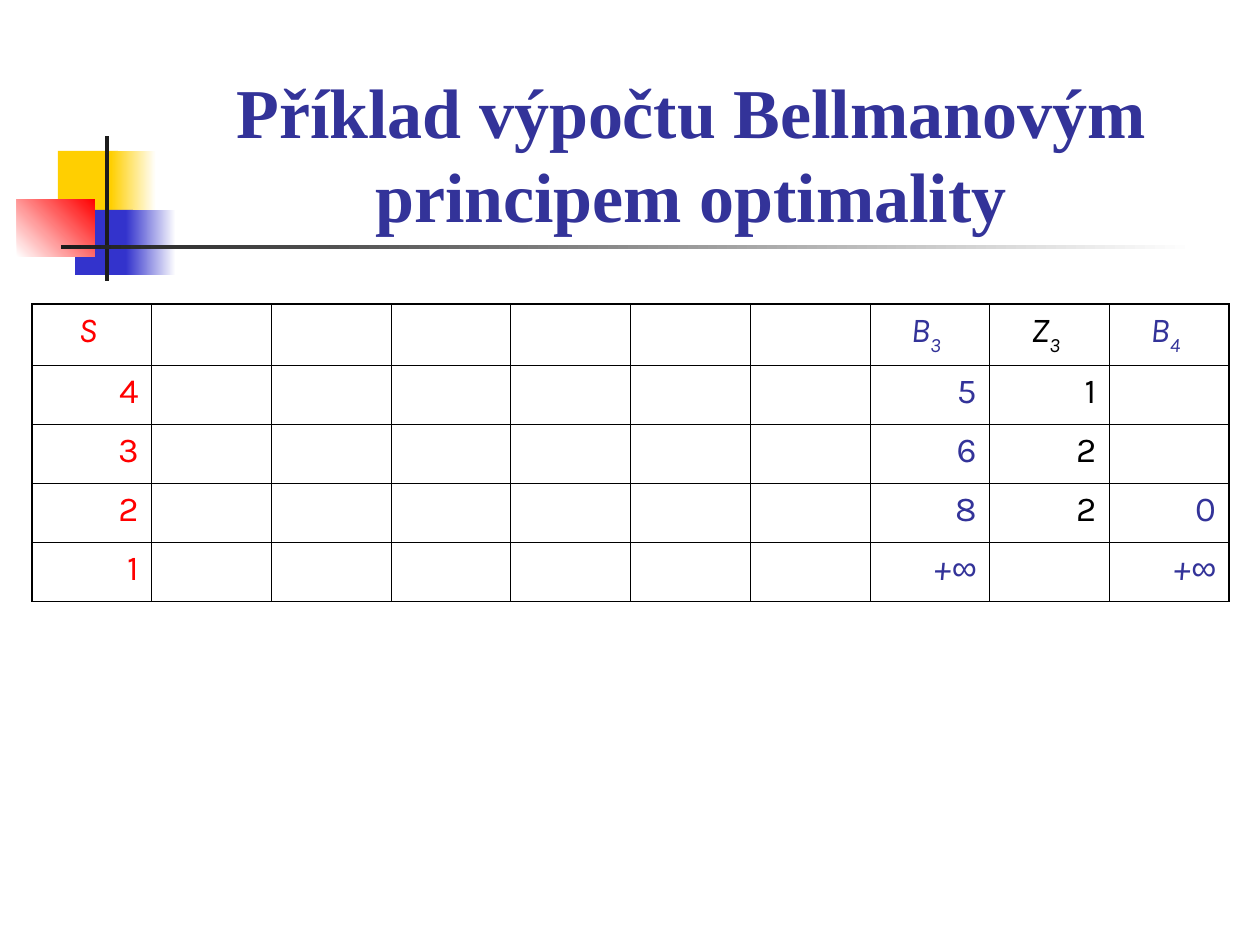
import pptx
import pptx.dml.color
import pptx.enum.shapes
import pptx.enum.text
import pptx.oxml
import pptx.oxml.ns
import pptx.util

RGBColor = pptx.dml.color.RGBColor
ALIGN = pptx.enum.text.PP_ALIGN
WHITE = RGBColor(0xFF, 0xFF, 0xFF)
BLACK = RGBColor(0x00, 0x00, 0x00)
YELLOW = RGBColor(0xFF, 0xCF, 0x01)
BLUE = RGBColor(0x33, 0x33, 0xCC)
RED = RGBColor(0xFF, 0x00, 0x00)
CHARCOAL = RGBColor(0x1C, 0x1C, 0x1C)
NAVY = RGBColor(0x33, 0x33, 0x99)

PX_PER_INCH = 126
THIN, THICK = 0.45, 1.08
COLUMNS = 10
HEADER_HEIGHT, ROW_HEIGHT = 61, 59
COLUMN_COLORS = {0: RED, 7: NAVY, 8: BLACK, 9: NAVY}
HEADINGS = {0: ("S", ""), 7: ("B", "3"), 8: ("Z", "3"), 9: ("B", "4")}
ROWS = [
    {0: "4", 7: "5", 8: "1"},
    {0: "3", 7: "6", 8: "2"},
    {0: "2", 7: "8", 8: "2", 9: "0"},
    {0: "1", 7: "+∞", 9: "+∞"},
]


def px(length):
    return pptx.util.Emu(round(length * 914400 / PX_PER_INCH))


def add_bar(page, left, top, width, height, colors, angle=0):
    """Add a borderless rectangle, filled with one colour or a two-colour gradient."""
    bar = page.shapes.add_shape(
        pptx.enum.shapes.MSO_SHAPE.RECTANGLE, px(left), px(top), px(width), px(height))
    bar.shadow.inherit = False
    bar.line.fill.background()
    if len(colors) == 1:
        bar.fill.solid()
        bar.fill.fore_color.rgb = colors[0]
        return
    bar.fill.gradient()
    bar.fill.gradient_angle = angle
    for position, (stop, color) in enumerate(zip(bar.fill.gradient_stops, colors)):
        stop.position = position
        stop.color.rgb = color


def add_ornament(page, left, top):
    """Add the coloured squares and the crossed rules behind the title."""
    for x, y, width, height, colors, angle in [
        (41, 15, 60, 66, [YELLOW], 0),
        (94, 15, 45, 66, [YELLOW, WHITE], 0),
        (58, 74, 58, 65, [BLUE], 0),
        (109, 74, 50, 65, [BLUE, WHITE], 0),
        (0, 63, 78, 58, [WHITE, RED], 45),
        (88, 0, 4, 145, [CHARCOAL], 0),
        (44, 109, 1134, 4, [CHARCOAL, WHITE], 0),
    ]:
        add_bar(page, left + x, top + y, width, height, colors, angle)


def add_title(page, left, top, width, height):
    box = page.shapes.add_textbox(px(left), px(top), px(width), px(height))
    box.text_frame.word_wrap = True
    box.text_frame.vertical_anchor = pptx.enum.text.MSO_ANCHOR.BOTTOM
    box.text_frame.text = "Příklad výpočtu Bellmanovým principem optimality"
    para = box.text_frame.paragraphs[0]
    para.alignment = ALIGN.CENTER
    font = para.runs[0].font
    font.name = "Times New Roman"
    font.size = pptx.util.Pt(40)
    font.bold = True
    font.color.rgb = NAVY


def add_span(para, text, color, italic, subscript=False):
    span = para.add_run()
    span.text = text
    span.font.name = "Arial" if text == "∞" else "Karla"
    span.font.size = pptx.util.Pt(20)
    span.font.italic = italic
    span.font.color.rgb = color
    if subscript:
        span.font._element.set("baseline", "-30000")


def set_borders(cell, widths):
    """Draw black cell borders; widths maps L, R, T and B to points."""
    properties = cell._tc.get_or_add_tcPr()
    for side, width in widths.items():
        properties.append(pptx.oxml.parse_xml(
            f'<a:ln{side} {pptx.oxml.ns.nsdecls("a")} w="{pptx.util.Pt(width)}">'
            f'<a:solidFill><a:srgbClr val="{BLACK}"/></a:solidFill></a:ln{side}>'))


def fill_cell(cell, row, column):
    cell.margin_left, cell.margin_right = px(5), px(13)
    cell.margin_top = cell.margin_bottom = px(6)
    para = cell.text_frame.paragraphs[0]
    color = COLUMN_COLORS.get(column)
    if row == 0:
        para.alignment = ALIGN.CENTER
        letter, index = HEADINGS.get(column, ("", ""))
        if letter:
            add_span(para, letter, color, True)
        if index:
            add_span(para, index, color, True, subscript=True)
    else:
        para.alignment = ALIGN.RIGHT
        value = ROWS[row - 1].get(column, "")
        for symbol in value:
            add_span(para, symbol, color, "∞" in value)


def add_state_table(page, left, top, width):
    last_row, last_column = len(ROWS), COLUMNS - 1
    height = HEADER_HEIGHT + ROW_HEIGHT * len(ROWS)
    table = page.shapes.add_table(
        len(ROWS) + 1, COLUMNS, px(left), px(top), px(width), px(height)).table
    table.first_row = table.horz_banding = False
    for column in table.columns:
        column.width = px(width / COLUMNS)
    for row, line in enumerate(table.rows):
        line.height = px(ROW_HEIGHT if row else HEADER_HEIGHT)
        for column, cell in enumerate(line.cells):
            set_borders(cell, {
                "L": THIN if column else THICK,
                "R": THICK if column == last_column else THIN,
                "T": THIN if row else THICK,
                "B": THICK if row == last_row else THIN,
            })
            cell.fill.background()
            fill_cell(cell, row, column)


def main():
    deck = pptx.Presentation()
    deck.slide_width, deck.slide_height = px(1260), px(945)
    page = deck.slides.add_slide(deck.slide_layouts[6])
    page.background.fill.solid()
    page.background.fill.fore_color.rgb = WHITE
    add_ornament(page, 17, 136)
    add_title(page, 154, 86, 1074, 157)
    add_state_table(page, 32, 304, 1197)
    deck.save("out.pptx")


if __name__ == "__main__":
    main()
